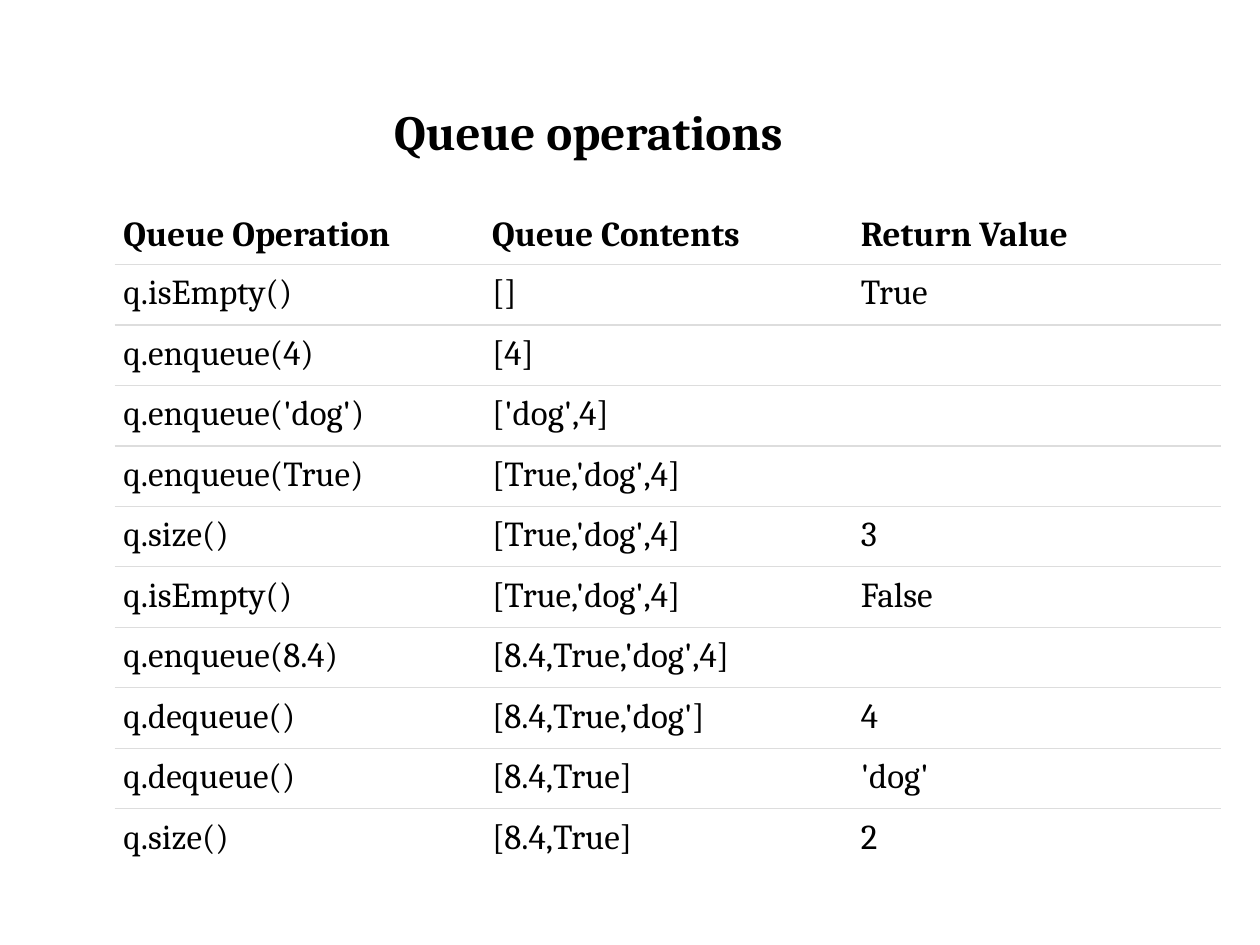
from dataclasses import dataclass

from lxml import etree
from pptx import Presentation
from pptx.dml.color import RGBColor
from pptx.enum.text import MSO_ANCHOR, MSO_AUTO_SIZE
from pptx.oxml.ns import qn
from pptx.util import Inches, Pt

BOTTOM, TOP = MSO_ANCHOR.BOTTOM, MSO_ANCHOR.TOP
FIT_SHAPE = MSO_AUTO_SIZE.SHAPE_TO_FIT_TEXT


@dataclass(frozen=True)
class Theme:
    """Colours, font and type sizes of the slide."""
    font: str = "Cambria"
    title: int = 28
    body: int = 20
    ink: str = "000000"
    paper: str = "FFFFFF"
    rule: str = "DDDDDD"
    rule_width: float = 0.75


THEME = Theme()
ROWS = [
    ("Queue Operation", "Queue Contents", "Return Value"),
    ("q.isEmpty()", "[]", "True"),
    ("q.enqueue(4)", "[4]", ""),
    ("q.enqueue('dog')", "['dog',4]", ""),
    ("q.enqueue(True)", "[True,'dog',4]", ""),
    ("q.size()", "[True,'dog',4]", "3"),
    ("q.isEmpty()", "[True,'dog',4]", "False"),
    ("q.enqueue(8.4)", "[8.4,True,'dog',4]", ""),
    ("q.dequeue()", "[8.4,True,'dog']", "4"),
    ("q.dequeue()", "[8.4,True]", "'dog'"),
    ("q.size()", "[8.4,True]", "2"),
]


def write(tf, text, size=THEME.body, bold=False, color=THEME.ink):
    """Put one formatted run in the text frame."""
    p = tf.paragraphs[0]
    p.font.size = Pt(size)
    if text:
        r = p.add_run()
        r.text = text
        r.font.name = THEME.font
        r.font.size = Pt(size)
        r.font.bold = bold
        r.font.color.rgb = RGBColor.from_string(color)


def set_borders(cell, sides):
    """Rule the given sides of a cell and clear the others."""
    tcPr = cell._tc.get_or_add_tcPr()
    for i, side in enumerate("LRTB"):
        ln = etree.Element(qn(f"a:ln{side}"), w=str(Pt(THEME.rule_width)))
        if side in sides:
            fill = etree.SubElement(ln, qn("a:solidFill"))
            etree.SubElement(fill, qn("a:srgbClr"), val=THEME.rule)
        else:
            etree.SubElement(ln, qn("a:noFill"))
        tcPr.insert(i, ln)


def format_cell(cell, text, header, sides):
    """Fill, inset, rule and write one table cell."""
    cell.fill.solid()
    cell.fill.fore_color.rgb = RGBColor.from_string(THEME.paper)
    cell.margin_left = cell.margin_right = Inches(0.07)
    cell.margin_top = cell.margin_bottom = Inches(0.07)
    cell.vertical_anchor = BOTTOM if header else TOP
    set_borders(cell, sides)
    write(cell.text_frame, text, bold=header)


def add_operations(s):
    """Add the table of queue operations."""
    frame = s.shapes.add_table(len(ROWS), len(ROWS[0]), Inches(0.91),
                               Inches(1.31), Inches(8.78), Inches(5.59))
    table = frame.table
    table.first_row = table.horz_banding = False
    last = len(ROWS) - 1
    for i, row in enumerate(ROWS):
        table.rows[i].height = Inches(0.48 if i else 0.79)
        sides = ("T" if i else "") + ("B" if i < last else "")
        for j, text in enumerate(row):
            format_cell(table.cell(i, j), text, i == 0, sides)


def add_title(s, text):
    """Add the slide title."""
    sp = s.shapes.add_textbox(Inches(3.03), Inches(0.76),
                              Inches(3.89), Inches(0.57))
    tf = sp.text_frame
    tf.word_wrap = False
    tf.auto_size = FIT_SHAPE
    write(tf, text, size=THEME.title, bold=True)


def main():
    """Build and save the slide."""
    prs = Presentation()
    prs.slide_width, prs.slide_height = Inches(10), Inches(7.5)
    s = prs.slides.add_slide(prs.slide_layouts[6])
    add_operations(s)
    add_title(s, "Queue operations")
    prs.save("out.pptx")


if __name__ == "__main__":
    main()
